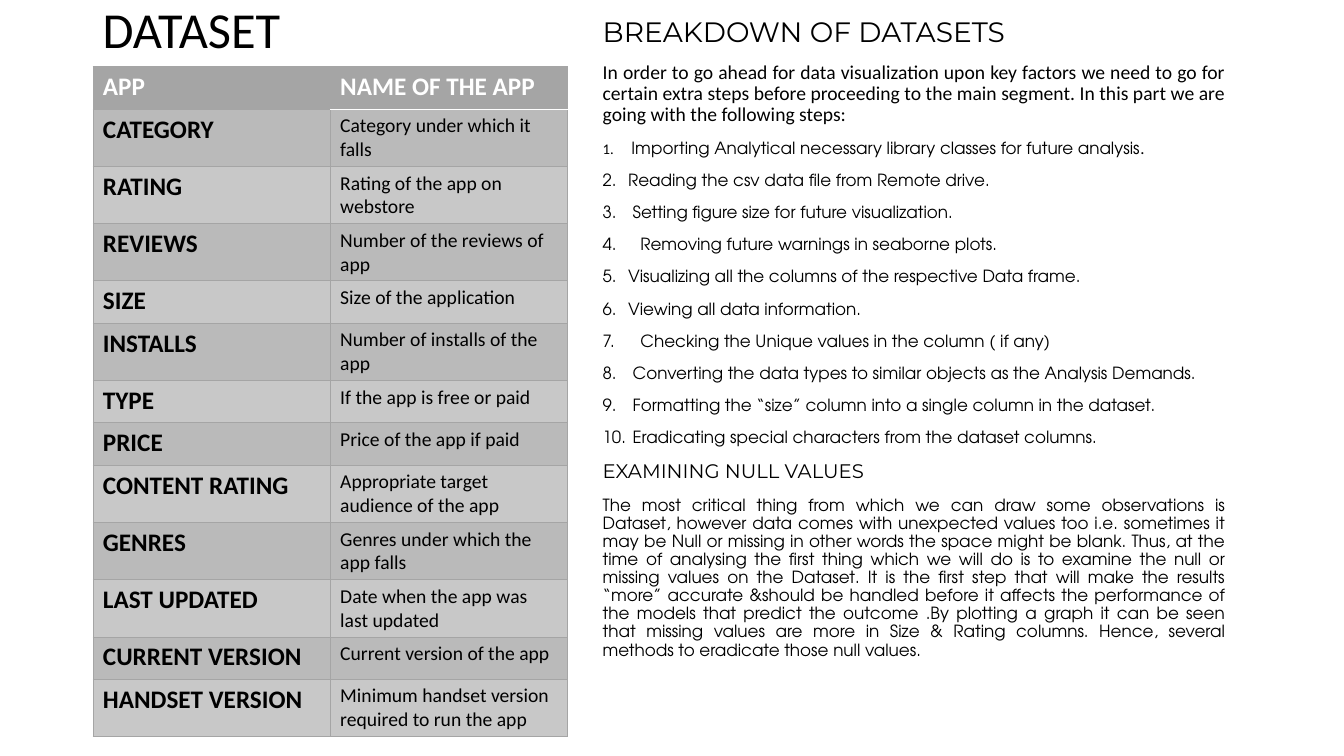
"""Build the slide that describes the dataset columns and the preparation steps."""
from lxml.etree import SubElement
from pptx import Presentation
from pptx.dml.color import RGBColor
from pptx.enum.text import MSO_ANCHOR as Anchor, PP_ALIGN as Align
from pptx.oxml.ns import qn
from pptx.util import Cm, Pt

COLORS = {"text": "000000", "header": "A5A5A5", "light": "FFFFFF",
          "odd": "BABABA", "even": "C8C8C8"}
SANS, HEADING, BODY = "Calibri", "Montserrat", "TeX Gyre Adventor"

COLUMNS = [
    ("APP", "NAME OF THE APP"),
    ("CATEGORY", "Category under which it falls"),
    ("RATING", "Rating of the app on webstore"),
    ("REVIEWS", "Number of the reviews of app"),
    ("SIZE", "Size of the application"),
    ("INSTALLS", "Number of installs of the app"),
    ("TYPE", "If the app is free or paid"),
    ("PRICE", "Price of the app if paid"),
    ("CONTENT RATING", "Appropriate target audience of the app"),
    ("GENRES", "Genres under which the app falls"),
    ("LAST UPDATED", "Date when the app was last updated"),
    ("CURRENT VERSION", "Current version of the app"),
    ("HANDSET VERSION", "Minimum handset version required to run the app"),
]
INTRO = ("In order to go ahead for data visualization upon key factors we need to go for "
         "certain extra steps before proceeding to the main segment. In this part we are "
         "going with the following steps:")
NARROW, WIDE = 0.64, 0.95
STEPS = [
    (NARROW, [(" ", 10.5, SANS),
              ("Importing Analytical necessary library classes for future analysis", 12, BODY),
              (".", 12, SANS)]),
    (NARROW, "Reading the csv data file from Remote drive."),
    (NARROW, " Setting figure size for future visualization."),
    (WIDE, "Removing future warnings in seaborne plots."),
    (NARROW, "Visualizing all the columns of the respective Data frame."),
    (NARROW, "Viewing all data information."),
    (WIDE, "Checking the Unique values in the column ( if any)"),
    (NARROW, " Converting the data types to similar objects as the Analysis Demands."),
    (NARROW, " Formatting the “size” column into a single column in the dataset."),
    (NARROW, " Eradicating special characters from the dataset columns."),
]
NULLS = ("The most critical thing from which we can draw some observations is Dataset, however "
         "data comes with unexpected values too i.e. sometimes it may be Null or missing in "
         "other words the space might be blank. Thus, at the time of analysing the first thing "
         "which we will do is to examine the null or missing values on the Dataset. It is the "
         "first step that will make the results “more” accurate &should be handled before it "
         "affects the performance of the models that predict the outcome .By plotting a graph "
         "it can be seen that missing values are more in Size & Rating columns. Hence, several "
         "methods to eradicate those null values.")


def apply(target, **values):
    for name, value in values.items():
        setattr(target, name, value)


def add_span(para, text, size, font, color="text", bold=False):
    span = para.add_run()
    span.text = text
    apply(span.font, size=Pt(size), name=font, bold=bold)
    span.font.color.rgb = RGBColor.from_string(COLORS[color])


def add_box(page, left, top, width, height, anchor):
    box = page.shapes.add_textbox(Cm(left), Cm(top), Cm(width), Cm(height))
    apply(box.text_frame, word_wrap=True, vertical_anchor=anchor)
    return box.text_frame


def add_para(frame, spans, align=Align.JUSTIFY, indent=None):
    first = frame.paragraphs[0]
    para = frame.add_paragraph() if first.runs else first
    apply(para, alignment=align, line_spacing=0.9, space_before=Pt(10))
    if indent:
        props = para._p.get_or_add_pPr()
        props.set("marL", str(Cm(indent)))
        props.set("indent", str(-Cm(indent)))
        SubElement(props, qn("a:buFont"), typeface="+mj-lt")
        SubElement(props, qn("a:buAutoNum"), type="arabicPeriod")
    for span in spans:
        add_span(para, *span)


def add_border(cell, side, color, points):
    line = SubElement(cell._tc.get_or_add_tcPr(), qn(f"a:ln{side}"), w=str(Pt(points)))
    fill = SubElement(line, qn("a:solidFill"))
    SubElement(fill, qn("a:srgbClr"), val=COLORS[color])


def add_table(page):
    table = page.shapes.add_table(len(COLUMNS), 2, Cm(2.34), Cm(1.68),
                                  Cm(11.96), Cm(1.07 * len(COLUMNS))).table
    apply(table, first_row=False, horz_banding=False)
    for row, texts in enumerate(COLUMNS):
        table.rows[row].height = Cm(1.07)
        shade = "header" if row == 0 else "odd" if row % 2 else "even"
        for column, text in enumerate(texts):
            cell = table.cell(row, column)
            strong = row == 0 or column == 0
            add_span(cell.text_frame.paragraphs[0], text, 18 if strong else 14, SANS,
                     "light" if row == 0 else "text", strong)
            for side in "LRTB":
                under_header = column == 1 and (row, side) in ((0, "B"), (1, "T"))
                add_border(cell, side, *(("light", 1) if under_header else ("header", 0.5)))
            cell.fill.solid()
            cell.fill.fore_color.rgb = RGBColor.from_string(COLORS[shade])


deck = Presentation()
apply(deck, slide_width=Cm(33.87), slide_height=Cm(19.05))
page = deck.slides.add_slide(deck.slide_layouts[6])

title = add_box(page, 2.34, 0.2, 14.6, 1.22, Anchor.MIDDLE)
title.paragraphs[0].line_spacing = 0.9
add_span(title.paragraphs[0], "DATASET", 36, SANS)

add_table(page)

story = add_box(page, 14.94, 0.33, 16.2, 18.26, Anchor.TOP)
add_para(story, [("BREAKDOWN OF DATASETS", 20, HEADING)], Align.LEFT)
add_para(story, [(INTRO, 14, SANS)])
for indent, step in STEPS:
    add_para(story, [(step, 12, BODY)] if isinstance(step, str) else step, indent=indent)
add_para(story, [("EXAMINING NULL VALUES", 14, HEADING)])
add_para(story, [(NULLS, 12, BODY)])

deck.save("out.pptx")
